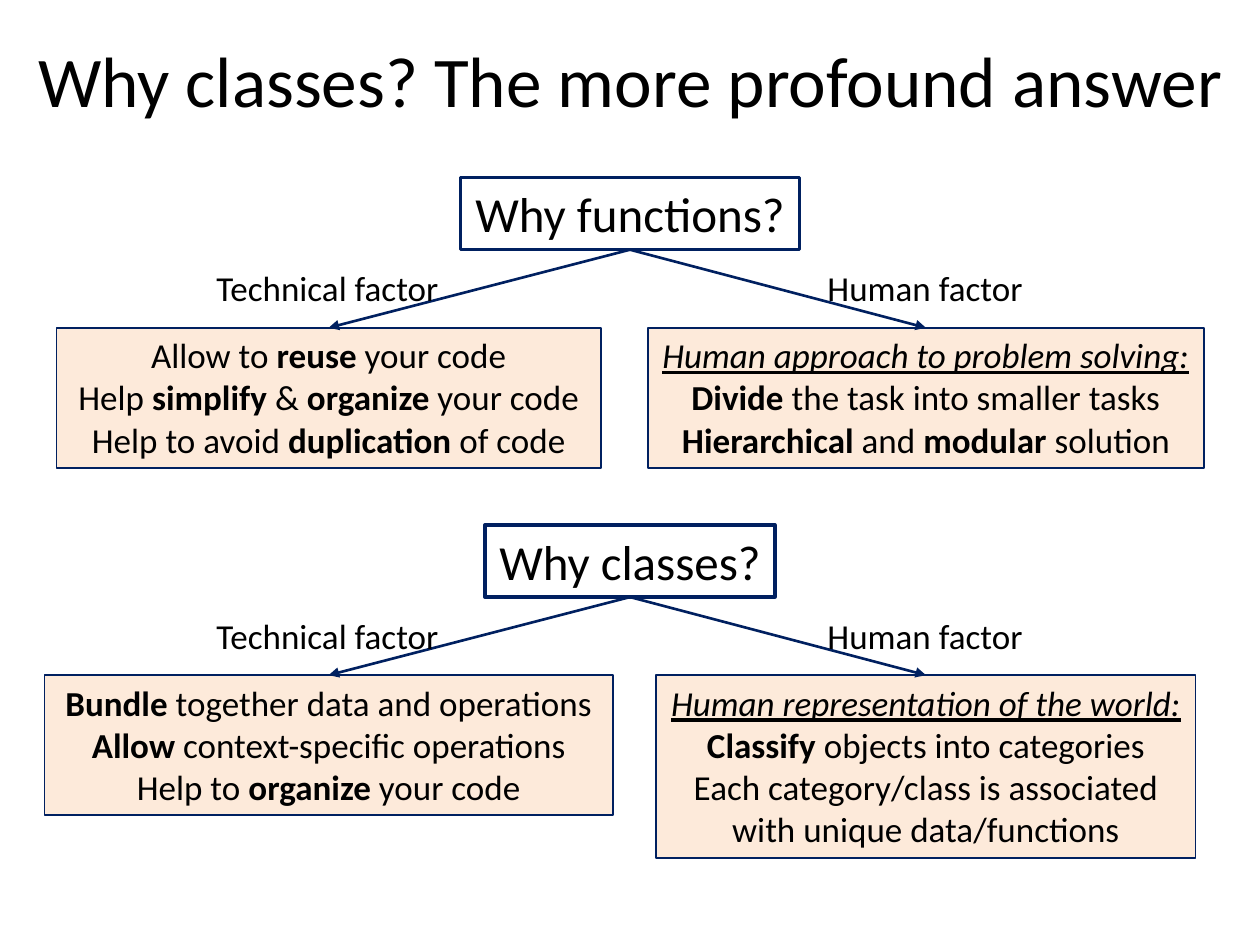
from pptx import Presentation
from pptx.dml.color import RGBColor
from pptx.enum.shapes import MSO_CONNECTOR as Link, MSO_SHAPE as Shape
from pptx.enum.text import MSO_ANCHOR as Anchor, PP_ALIGN as Align
from pptx.oxml.ns import qn
from pptx.util import Pt
from lxml.etree import SubElement

NAVY = RGBColor(0x00, 0x20, 0x60)
PEACH = RGBColor(0xFD, 0xEA, 0xDA)
BLACK = RGBColor(0, 0, 0)
WIDTH, HEIGHT = 720, 540
ROOT_H = 41.2
LABEL_Y, BOX_Y = 47.5, 85.8
LINE_H, PAD = 24.3, 7.2

# Label, label left, label width, centre of the box below
SIDES = [
    ("Technical factor", 116.6, 142.6, 187.8),
    ("Human factor", 465.8, 127.4, 529.1),
]

# Top, question, question width, then (box width, lines) for each side.
# Asterisks enclose bold words; a line starting with "_" is a heading.
TREES = [
    (101.5, "Why functions?", 193.7, [
        (311, ["Allow to *reuse* your code",
               "Help *simplify* & *organize* your code",
               "Help to avoid *duplication* of code"]),
        (317.6, ["_Human approach to problem solving:",
                 "*Divide* the task into smaller tasks",
                 "*Hierarchical* and *modular* solution"]),
    ]),
    (300, "Why classes?", 165.6, [
        (324.7, ["*Bundle* together data and operations",
                 "*Allow* context-specific operations",
                 "Help to *organize* your code"]),
        (308.2, ["_Human representation of the world:",
                 "*Classify* objects into categories",
                 "Each category/class is associated",
                 "with unique data/functions"]),
    ]),
]


def style(par, size, align=Align.CENTER):
    par.alignment = align
    for run in par.runs:
        font = run.font
        font.name, font.size = "Calibri", Pt(size)
        font.color.rgb = BLACK


def add_title(slide, text):
    title = slide.shapes.title
    title.left, title.top = Pt(0), Pt(0)
    title.width, title.height = Pt(WIDTH), Pt(90)
    frame = title.text_frame
    frame.text = text
    frame.vertical_anchor = Anchor.MIDDLE
    style(frame.paragraphs[0], 40.7)


def add_box(slide, mid, top, width, height, weight, fill=None):
    """Add an outlined rectangle centred on mid."""
    box = slide.shapes.add_shape(Shape.RECTANGLE, Pt(mid - width / 2), Pt(top),
                                 Pt(width), Pt(height))
    box.shadow.inherit = False
    box.line.color.rgb, box.line.width = NAVY, Pt(weight)
    if fill is None:
        box.fill.background()
    else:
        box.fill.solid()
        box.fill.fore_color.rgb = fill
    frame = box.text_frame
    frame.word_wrap = False
    frame.vertical_anchor = Anchor.TOP
    return box


def add_lines(par, lines):
    """Write the marked-up lines into one paragraph."""
    for row, line in enumerate(lines):
        if row:
            par.add_line_break()
        head = line.startswith("_")
        for part, text in enumerate(line.lstrip("_").split("*")):
            if text:
                run = par.add_run()
                run.text = text
                run.font.bold = part % 2 == 1
                run.font.italic = run.font.underline = head
    style(par, 20)


def add_label(slide, text, left, top, width):
    label = slide.shapes.add_textbox(Pt(left), Pt(top), Pt(width), Pt(31.5))
    frame = label.text_frame
    frame.word_wrap = False
    frame.text = text
    style(frame.paragraphs[0], 20, Align.LEFT)


def add_arrow(slide, start, end):
    """Join the bottom of start to the top of end."""
    arrow = slide.shapes.add_connector(Link.STRAIGHT, 0, 0, 0, 0)
    arrow.begin_connect(start, 2)
    arrow.end_connect(end, 0)
    arrow.line.color.rgb, arrow.line.width = NAVY, Pt(1.5)
    SubElement(arrow.line._get_or_add_ln(), qn("a:tailEnd"), type="triangle")
    SubElement(arrow._element.spPr, qn("a:effectLst"))


def add_tree(slide, top, question, width, boxes):
    root = add_box(slide, WIDTH / 2, top, width, ROOT_H, 2)
    root.text_frame.text = question
    style(root.text_frame.paragraphs[0], 28)
    for (label, left, span, mid), (wide, lines) in zip(SIDES, boxes):
        box = add_box(slide, mid, top + BOX_Y, wide,
                      LINE_H * len(lines) + PAD, 1, PEACH)
        add_lines(box.text_frame.paragraphs[0], lines)
        add_arrow(slide, root, box)
        add_label(slide, label, left, top + LABEL_Y, span)


def main():
    deck = Presentation()
    deck.slide_width, deck.slide_height = Pt(WIDTH), Pt(HEIGHT)
    slide = deck.slides.add_slide(deck.slide_layouts[5])
    add_title(slide, "Why classes? The more profound answer")
    for tree in TREES:
        add_tree(slide, *tree)
    deck.save("out.pptx")


if __name__ == "__main__":
    main()
